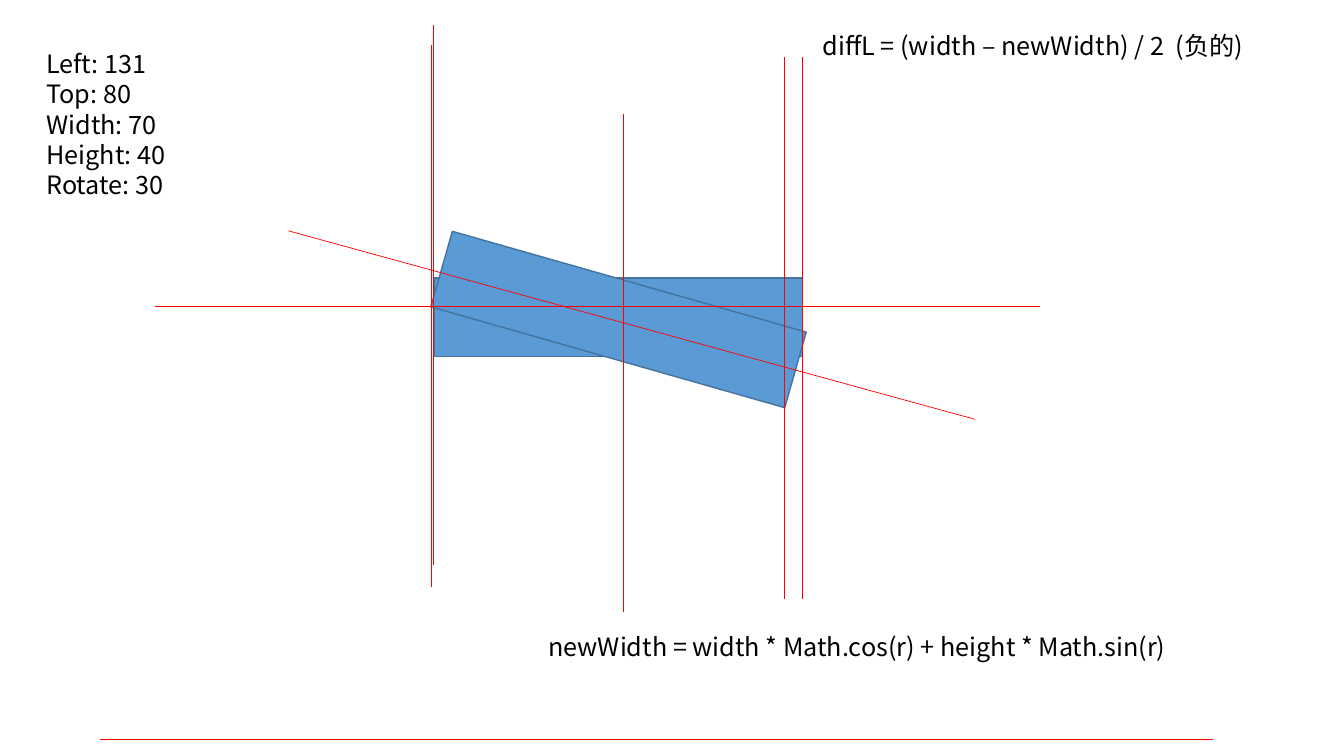
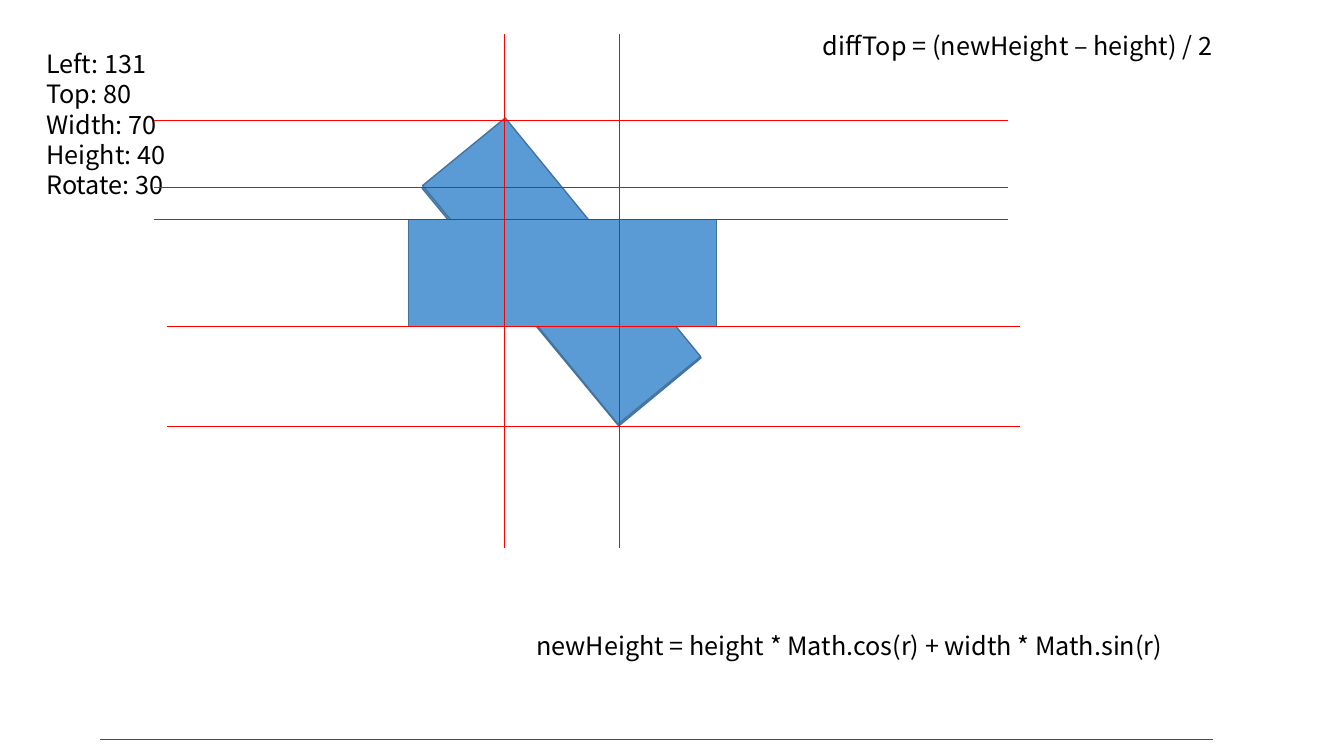
import dataclasses

import lxml.etree
import pptx
import pptx.dml.color
import pptx.enum.shapes
import pptx.enum.text
import pptx.oxml.ns
import pptx.util

EMU_PER_PX = 9144  # 100 px to the inch
SLIDE_SIZE = (1333, 750)
COLORS = {"text": "000000", "guide": "FF0000", "bar": "5B9BD5", "bar_edge": "43739E"}
FONT = "Noto Sans CJK SC"
FONT_SIZE = 18
LINE_SPACING = 21.6
PARAMETERS = ["Left: 131", "Top: 80", "Width: 70", "Height: 40", "Rotate: 30"]


@dataclasses.dataclass(frozen=True)
class Area:
    left: int
    top: int
    width: int
    height: int


@dataclasses.dataclass(frozen=True)
class Bar:
    area: Area
    rotation: float = 0


@dataclasses.dataclass(frozen=True)
class Guide:
    x1: int
    y1: int
    x2: int
    y2: int


@dataclasses.dataclass(frozen=True)
class Diagram:
    difference: str
    formula: str
    formula_area: Area
    bars: list[Bar]
    guides: list[Guide]


PARAMETERS_AREA = Area(36, 43, 165, 162)
DIFFERENCE_AREA = Area(806, 25, 515, 40)
NOTE_TAB = 361
BASE_RULE = Guide(99, 734, 1203, 734)


def vertical(x: int, top: int, bottom: int) -> Guide:
    return Guide(x, top, x, bottom)


def horizontal(y: int, left: int, right: int) -> Guide:
    return Guide(left, y, right, y)


DIAGRAMS = [
    Diagram(
        "diffL = (width – newWidth) / 2\t(负的)",
        "newWidth = width * Math.cos(r) + height * Math.sin(r)",
        Area(534, 621, 787, 40),
        [Bar(Area(431, 276, 365, 78)), Bar(Area(431, 278, 365, 78), 15.9)],
        [
            vertical(430, 25, 561),
            vertical(428, 45, 582),
            *(vertical(x, 57, 594) for x in (796, 778)),
            horizontal(304, 154, 1032),
            vertical(618, 113, 607),
            Guide(286, 229, 967, 416),
        ],
    ),
    Diagram(
        "diffTop = (newHeight – height) / 2",
        "newHeight = height * Math.cos(r) + width * Math.sin(r)",
        Area(522, 620, 787, 71),
        [
            Bar(Area(404, 218, 306, 106), 50.4),
            Bar(Area(404, 216, 306, 106), 50.7),
            Bar(Area(405, 218, 306, 106)),
        ],
        [
            *(horizontal(y, 153, 1000) for y in (119, 186, 218)),
            *(horizontal(y, 166, 1012) for y in (324, 423)),
            *(vertical(x, 34, 544) for x in (500, 614)),
        ],
    ),
]


def px(length: int) -> pptx.util.Emu:
    return pptx.util.Emu(length * EMU_PER_PX)


def color(name: str) -> pptx.dml.color.RGBColor:
    return pptx.dml.color.RGBColor.from_string(COLORS[name])


def add_child(parent, tag: str, **attributes: str):
    return lxml.etree.SubElement(parent, pptx.oxml.ns.qn(tag), **attributes)


def place(box, area: Area) -> None:
    box.left, box.top = px(area.left), px(area.top)
    box.width, box.height = px(area.width), px(area.height)


def write(box, lines: list[str]) -> None:
    """Fill the box with plain left-aligned paragraphs, free of inherited bullets."""
    frame = box.text_frame
    frame.word_wrap = True
    frame.auto_size = pptx.enum.text.MSO_AUTO_SIZE.NONE
    frame.vertical_anchor = pptx.enum.text.MSO_ANCHOR.TOP
    for index, line in enumerate(lines):
        para = frame.add_paragraph() if index else frame.paragraphs[0]
        para.alignment = pptx.enum.text.PP_ALIGN.LEFT
        para.line_spacing = pptx.util.Pt(LINE_SPACING)
        para.space_before = para.space_after = pptx.util.Pt(0)
        properties = para._p.get_or_add_pPr()
        properties.set("marL", "0")
        properties.set("indent", "0")
        add_child(properties, "a:buNone")
        if "\t" in line:
            tabs = add_child(properties, "a:tabLst")
            add_child(tabs, "a:tab", pos=str(px(NOTE_TAB)), algn="l")
        span = para.add_run()
        span.text = line
        span.font.name = FONT
        span.font.size = pptx.util.Pt(FONT_SIZE)
        span.font.color.rgb = color("text")
        add_child(span._r.get_or_add_rPr(), "a:ea", typeface=FONT)


def add_bar(page, bar: Bar) -> None:
    shape = page.shapes.add_shape(pptx.enum.shapes.MSO_SHAPE.RECTANGLE, 0, 0, 0, 0)
    place(shape, bar.area)
    shape.rotation = bar.rotation
    shape.shadow.inherit = False
    shape.fill.solid()
    shape.fill.fore_color.rgb = color("bar")
    shape.line.color.rgb = color("bar_edge")
    shape.line.width = pptx.util.Pt(1)


def add_guide(page, guide: Guide) -> None:
    line = page.shapes.add_connector(
        pptx.enum.shapes.MSO_CONNECTOR.STRAIGHT,
        px(guide.x1), px(guide.y1), px(guide.x2), px(guide.y2),
    )
    line.line.color.rgb = color("guide")
    line.line.width = pptx.util.Pt(0.5)
    add_child(line._element.spPr, "a:effectLst")


def add_page(deck, diagram: Diagram) -> None:
    page = deck.slides.add_slide(deck.slide_layouts.get_by_name("Title and Content"))
    title, body = page.shapes.title, page.placeholders[1]
    formula = page.shapes.add_textbox(0, 0, 0, 0)
    for box, area, lines in (
        (title, DIFFERENCE_AREA, [diagram.difference]),
        (body, PARAMETERS_AREA, PARAMETERS),
        (formula, diagram.formula_area, [diagram.formula]),
    ):
        place(box, area)
        write(box, lines)
    for bar in diagram.bars:
        add_bar(page, bar)
    for guide in [BASE_RULE, *diagram.guides]:
        add_guide(page, guide)


def main() -> None:
    deck = pptx.Presentation()
    deck.slide_width, deck.slide_height = map(px, SLIDE_SIZE)
    for diagram in DIAGRAMS:
        add_page(deck, diagram)
    deck.save("out.pptx")


if __name__ == "__main__":
    main()
